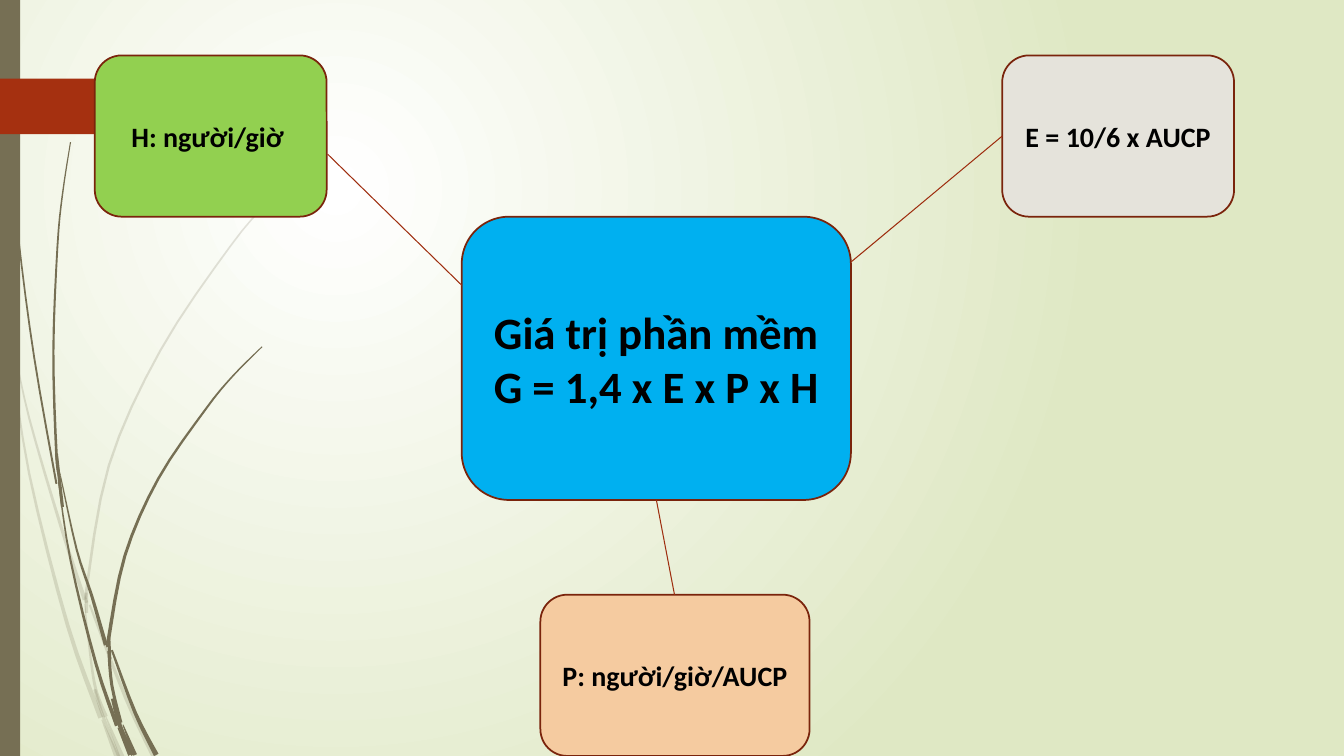
from math import hypot

from pptx import Presentation
from pptx.dml.color import RGBColor
from pptx.enum.shapes import MSO_CONNECTOR as Connector, MSO_SHAPE as Shape
from pptx.enum.text import MSO_ANCHOR as Anchor, PP_ALIGN as Align
from pptx.oxml.ns import qn
from pptx.oxml.xmlchemy import OxmlElement
from pptx.util import Inches, Pt

COLUMNS, ROWS = 13.33, 7.5
CELL = Inches(1)

WHITE = RGBColor(0xFF, 0xFF, 0xFF)
BLACK = RGBColor(0x00, 0x00, 0x00)
PALE_GREEN = RGBColor(0xDF, 0xE8, 0xC4)
OLIVE = RGBColor(0x76, 0x6F, 0x54)
RED = RGBColor(0xA5, 0x30, 0x10)
BORDER = RGBColor(0x7A, 0x24, 0x0C)
LINK = RGBColor(0x9E, 0x2E, 0x0F)
BLUE = RGBColor(0x00, 0xB0, 0xF0)
ORANGE = RGBColor(0xF5, 0xCB, 0xA0)
GREEN = RGBColor(0x92, 0xD0, 0x50)
GREY = RGBColor(0xE5, 0xE3, 0xDB)

PALE_STEMS = [
    (0.04, 0.01, [(0.01, 2.9), (0.06, 3.17), (0.11, 3.5)]),
    (0.01, 0.04, [(0.14, 3.45), (0.29, 4.15), (0.6, 5.21), (0.84, 5.95)]),
    (0.02, 0.05, [(0.89, 6), (1.25, 6.93), (1.53, 7.51)]),
    (0.01, 0.05, [(1.05, 7.11), (1.21, 7.51)]),
    (0.01, 0.05, [(0.11, 3.5), (0.29, 4.7), (0.67, 6.2), (1, 7.12)]),
    (0.01, 0.04, [(0.84, 5.99), (0.89, 6.46), (0.95, 6.84), (1.05, 7.11)]),
    (0.01, 0.03, [(3.12, 1.53), (2.68, 1.98), (2.28, 2.45), (1.59, 3.48),
                  (1.08, 4.62), (0.86, 5.84), (0.87, 5.96)]),
    (0.01, 0.05, [(1.01, 7.14), (1.16, 7.51)]),
    (0.03, 0.03, [(0.86, 5.88), (0.86, 6.08)]),
    (0.03, 0.03, [(0.94, 6.84), (1.02, 7.1), (1.18, 7.51)]),
]
DARK_STEMS = [
    (0.01, 0.02, [(0.03, 0), (0.04, 0.48), (0.07, 1.1), (0.18, 2.33),
                  (0.34, 3.55), (0.56, 4.8)]),
    (0.01, 0.04, [(0.6, 4.72), (0.76, 5.45), (0.91, 5.91), (1.05, 6.4)]),
    (0.02, 0.05, [(1.11, 6.45), (1.34, 7.07), (1.55, 7.49)]),
    (0.01, 0.04, [(0.58, 4.78), (0.7, 5.56), (0.95, 6.58), (1.16, 7.2)]),
    (0.01, 0.03, [(0.7, 1.41), (0.62, 1.93), (0.57, 2.45), (0.53, 3.49),
                  (0.56, 4.5), (0.59, 4.72)]),
    (0.01, 0.04, [(1.22, 7.19), (1.34, 7.49)]),
    (0.03, 0.03, [(0.56, 4.5), (0.62, 5.03)]),
    (0.01, 0.04, [(2.6, 3.44), (2.31, 3.73), (2.04, 4.06), (1.57, 4.75),
                  (1.24, 5.51), (1.08, 6.32), (1.08, 6.4)]),
    (0.01, 0.04, [(1.17, 7.22), (1.29, 7.49)]),
    (0.03, 0.03, [(1.08, 6.46), (1.11, 6.8), (1.2, 7.17)]),
    (0.03, 0.03, [(1.08, 6.33), (1.09, 6.54)]),
    (0.04, 0.04, [(1.12, 6.93), (1.19, 7.2), (1.32, 7.49)]),
]


def cells(*lengths):
    return [round(length * CELL) for length in lengths]


def paint_background(slide):
    fill = slide.background.fill
    fill.gradient()
    for stop, color in zip(fill.gradient_stops, (WHITE, PALE_GREEN)):
        stop.color.rgb = color
    linear = slide.element.find(".//" + qn("a:lin"))
    glow = OxmlElement("a:path")
    glow.set("path", "circle")
    focus = OxmlElement("a:fillToRect")
    for side, share in zip("ltrb", (50, 50, 100, 100)):
        focus.set(side, str(share * 1000))
    glow.append(focus)
    linear.getparent().replace(linear, glow)


def paint(shape, color):
    shape.shadow.inherit = False
    shape.fill.solid()
    shape.fill.fore_color.rgb = color
    shape.line.fill.background()


def smooth(points, steps=4):
    padded = [points[0], *points, points[-1]]
    curve = []
    for a, b, c, d in zip(padded, padded[1:], padded[2:], padded[3:]):
        for t in (step / steps for step in range(steps)):
            curve.append(tuple(
                q + ((r - p) * t + (2 * p - 5 * q + 4 * r - s) * t ** 2
                     + (3 * q - p - 3 * r + s) * t ** 3) / 2
                for p, q, r, s in zip(a, b, c, d)))
    return curve + [points[-1]]


def add_stem(slide, tip_width, root_width, points, alpha=None):
    curve = smooth(points) if len(points) > 2 else points
    left, right = [], []
    for i, (x, y) in enumerate(curve):
        before, after = curve[max(i - 1, 0)], curve[min(i + 1, len(curve) - 1)]
        dx, dy = after[0] - before[0], after[1] - before[1]
        share = i / (len(curve) - 1)
        half = (tip_width + (root_width - tip_width) * share) / 2 / hypot(dx, dy)
        left.append(cells(max(x - dy * half, 0), y + dx * half))
        right.append(cells(x + dy * half, y - dx * half))
    outline = left + right[::-1]
    builder = slide.shapes.build_freeform(*outline[0])
    builder.add_line_segments(outline[1:], close=True)
    stem = builder.convert_to_shape()
    paint(stem, OLIVE)
    if alpha:
        opacity = OxmlElement("a:alpha")
        opacity.set("val", str(alpha * 1000))
        stem.element.spPr.find(".//" + qn("a:srgbClr")).append(opacity)


def add_band(slide, kind, place, color):
    band = slide.shapes.add_shape(kind, *cells(*place))
    paint(band, color)


def add_box(slide, place, color, size, *lines):
    box = slide.shapes.add_shape(Shape.ROUNDED_RECTANGLE, *cells(*place))
    paint(box, color)
    box.line.color.rgb = BORDER
    box.line.width = Pt(1.25)
    frame = box.text_frame
    frame.word_wrap = True
    frame.vertical_anchor = Anchor.MIDDLE
    for i, line in enumerate(lines):
        paragraph = frame.add_paragraph() if i else frame.paragraphs[0]
        paragraph.text = line
        paragraph.alignment = Align.CENTER
        paragraph.font.name = "Calibri"
        paragraph.font.size = Pt(size)
        paragraph.font.bold = True
        paragraph.font.color.rgb = BLACK


def add_link(slide, start, end):
    link = slide.shapes.add_connector(Connector.STRAIGHT, *cells(*start, *end))
    link.line.color.rgb = LINK
    link.line.width = Pt(0.75)
    link.element.spPr.append(OxmlElement("a:effectLst"))


def main():
    deck = Presentation()
    deck.slide_width, deck.slide_height = cells(COLUMNS, ROWS)
    slide = deck.slides.add_slide(deck.slide_layouts[6])
    paint_background(slide)

    for stem in PALE_STEMS:
        add_stem(slide, *stem, alpha=20)
    for stem in DARK_STEMS:
        add_stem(slide, *stem)
    add_band(slide, Shape.RECTANGLE, (0, 0, 0.2, ROWS), OLIVE)
    add_band(slide, Shape.PENTAGON, (0, 0.78, 1.74, 0.55), RED)

    add_box(slide, (4.58, 2.15, 3.86, 2.81), BLUE, 32,
            "Giá trị phần mềm", "G = 1,4 x E x P x H")
    add_box(slide, (5.36, 5.9, 2.67, 1.6), ORANGE, 20, "P: người/giờ/AUCP")
    add_box(slide, (0.94, 0.55, 2.3, 1.6), GREEN, 20, "H: người/giờ ")
    add_box(slide, (9.94, 0.55, 2.3, 1.6), GREY, 20, "E = 10/6 x AUCP")

    add_link(slide, (9.94, 1.35), (8.44, 2.6))
    add_link(slide, (3.25, 1.53), (4.58, 2.83))
    add_link(slide, (6.51, 4.96), (6.69, 5.9))

    deck.save("out.pptx")


if __name__ == "__main__":
    main()
